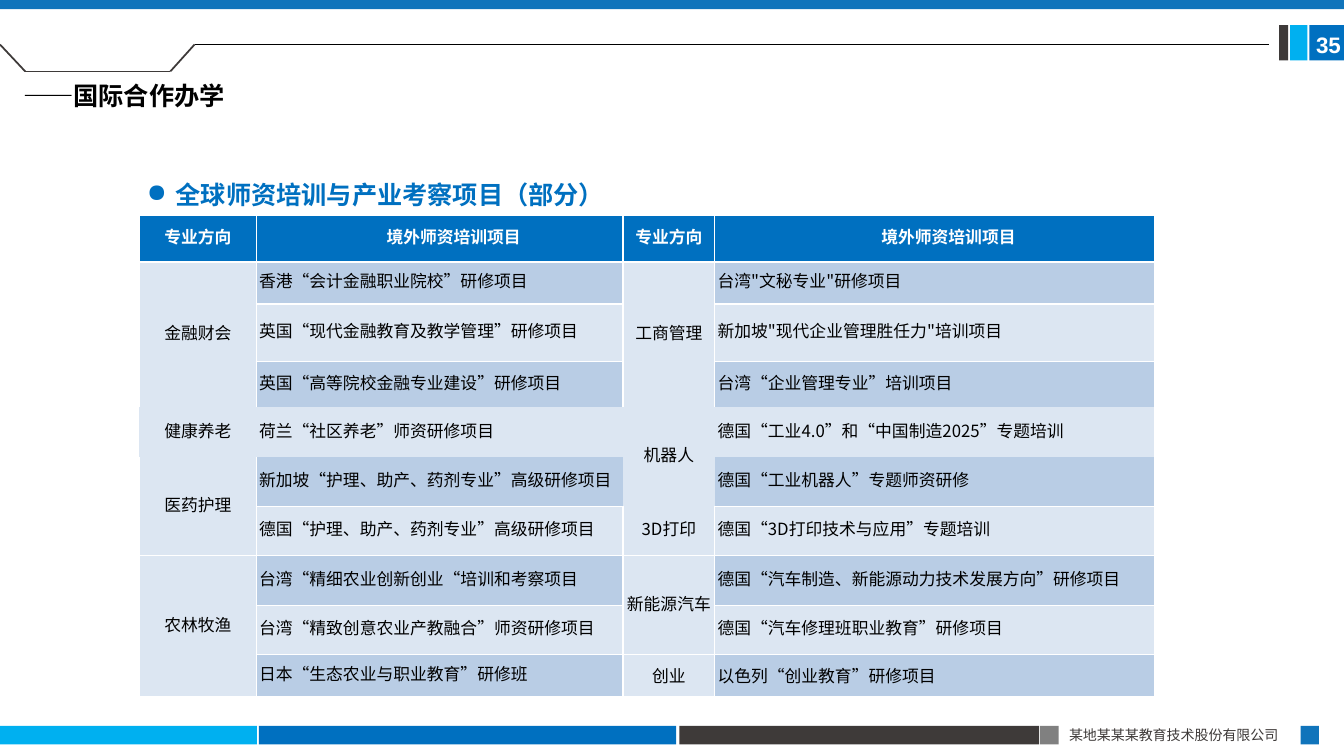
from lxml import etree
from pptx import Presentation
from pptx.dml.color import RGBColor
from pptx.enum import shapes, text
from pptx.oxml import ns
from pptx.util import Pt

COLORS = {
    "blue": "0070C0", "cyan": "00B0F0", "dark": "3E3A39", "gray": "808080",
    "accent": "1074BB", "white": "FFFFFF", "black": "000000",
    "pale": "DCE6F2", "band": "B9CDE5",
}
CJK = "Noto Sans CJK SC"
ALIGN = text.PP_ALIGN

BARS = [
    (0, 518.5, 183.6, 13.2, "cyan"),
    (185, 518.5, 298, 13.2, "blue"),
    (485.3, 518.5, 257, 13.2, "dark"),
    (743, 518.5, 13.2, 13.2, "gray"),
    (929, 518.5, 13.2, 13.2, "accent"),
    (935.2, 18, 24.8, 25.2, "blue"),
    (921.6, 18, 12.3, 25.2, "cyan"),
    (913.7, 18, 6.5, 25.2, "dark"),
    (0, 0, 960, 6.5, "accent"),
]
RULES = [
    (18, 51, 121.7, 51, "dark", 1.25),
    (121.7, 51, 139, 31.8, "dark", 1.25),
    (18, 51, 0, 31.8, "dark", 1.25),
    (139, 31.8, 906.5, 31.8, "black", 0.5),
]

COLUMN_WIDTHS = [83.5, 262, 65.5, 314]
ROW_HEIGHTS = [33, 30, 41.3, 32.6] + [35.3] * 5 + [30]
PROGRAMMES = [
    ["专业方向", "境外师资培训项目", "专业方向", "境外师资培训项目"],
    ["金融财会", "香港“会计金融职业院校”研修项目", "工商管理", "台湾\"文秘专业\"研修项目"],
    ["", "英国“现代金融教育及教学管理”研修项目", "", "新加坡\"现代企业管理胜任力\"培训项目"],
    ["", "英国“高等院校金融专业建设”研修项目", "", "台湾“企业管理专业”培训项目"],
    ["健康养老", "荷兰“社区养老”师资研修项目", "机器人", "德国“工业4.0”和“中国制造2025”专题培训"],
    ["医药护理", "新加坡“护理、助产、药剂专业”高级研修项目", "", "德国“工业机器人”专题师资研修"],
    ["", "德国“护理、助产、药剂专业”高级研修项目", "3D打印", "德国“3D打印技术与应用”专题培训"],
    ["农林牧渔", "台湾“精细农业创新创业“培训和考察项目", "新能源汽车", "德国“汽车制造、新能源动力技术发展方向”研修项目"],
    ["", "台湾“精致创意农业产教融合”师资研修项目", "", "德国“汽车修理班职业教育”研修项目"],
    ["", "日本“生态农业与职业教育”研修班", "创业", "以色列“创业教育”研修项目"],
]
MERGES = [(1, 0, 3), (1, 2, 3), (4, 2, 2), (5, 0, 2), (7, 0, 3), (7, 2, 2)]
BORDER_SIDES = {
    (1, 0): "LTR", (1, 2): "LTR", (3, 1): "LTR", (3, 3): "LTR",
    (4, 0): "", (4, 1): "", (4, 2): "", (4, 3): "",
    (5, 0): "LRB", (5, 1): "LB", (5, 3): "RB", (6, 2): "LRB",
}


def rgb(name):
    """Return the named colour."""
    return RGBColor.from_string(COLORS[name])


def style_para(para, size, color, bold=False, font=CJK):
    """Format every run of a paragraph."""
    for span in para.runs:
        span.font.size = Pt(size)
        span.font.bold = bold
        span.font.color.rgb = rgb(color)
        span.font.name = font
        etree.SubElement(span.font._element, ns.qn("a:ea"), typeface=font)


def add_bar(page, left, top, width, height, color):
    """Add a plain filled rectangle."""
    bar = page.shapes.add_shape(shapes.MSO_SHAPE.RECTANGLE, Pt(left), Pt(top), Pt(width), Pt(height))
    bar.shadow.inherit = False
    bar.fill.solid()
    bar.fill.fore_color.rgb = rgb(color)
    bar.line.fill.background()


def add_rule(page, x1, y1, x2, y2, color, weight):
    """Add a straight line without shadow."""
    rule = page.shapes.add_connector(shapes.MSO_CONNECTOR.STRAIGHT, Pt(x1), Pt(y1), Pt(x2), Pt(y2))
    rule.line.color.rgb = rgb(color)
    rule.line.width = Pt(weight)
    etree.SubElement(rule._element.spPr, ns.qn("a:effectLst"))


def add_label(page, left, top, width, height, words, size, color, bold=True, font=CJK, bullet=None):
    """Add a one-line text box, with a bullet if given."""
    box = page.shapes.add_textbox(Pt(left), Pt(top), Pt(width), Pt(height))
    frame = box.text_frame
    frame.word_wrap = False
    frame.text = words
    para = frame.paragraphs[0]
    if bullet:
        frame.margin_left = frame.margin_right = Pt(5.5)
        frame.margin_top = frame.margin_bottom = Pt(2.7)
        props = para._p.get_or_add_pPr()
        props.set("marL", str(Pt(20.6)))
        props.set("indent", str(-Pt(20.6)))
        etree.SubElement(props, ns.qn("a:buChar"), char=bullet)
    style_para(para, size, color, bold, font)


def set_borders(cell, sides):
    """Draw white borders on the listed sides and none on the others."""
    props = cell._tc.get_or_add_tcPr()
    for position, side in enumerate("LRTB"):
        line = etree.Element(ns.qn(f"a:ln{side}"), w=str(Pt(1)))
        if side in sides:
            fill = etree.SubElement(line, ns.qn("a:solidFill"))
            etree.SubElement(fill, ns.qn("a:srgbClr"), val=COLORS["white"])
        else:
            etree.SubElement(line, ns.qn("a:noFill"))
        props.insert(position, line)


def fill_cell(cell, words, row, column):
    """Write and format one table cell."""
    header = row == 0
    category = column % 2 == 0
    cell.margin_left = cell.margin_right = Pt(2)
    cell.margin_top = cell.margin_bottom = 0
    cell.vertical_anchor = text.MSO_ANCHOR.MIDDLE
    cell.fill.solid()
    cell.fill.fore_color.rgb = rgb("blue" if header else "pale" if category or row % 2 == 0 else "band")
    cell.text_frame.text = words
    para = cell.text_frame.paragraphs[0]
    para.alignment = ALIGN.CENTER if header or category else ALIGN.JUSTIFY
    if row < len(PROGRAMMES) - 1 or column < 2:
        para.line_spacing = Pt(14)
    if header and not category:
        para._p.get_or_add_pPr().set("indent", str(Pt(20)))
    style_para(para, 12, "white" if header else "black", header)


def add_programme_table(page):
    """Add the table of training programmes."""
    frame = page.shapes.add_table(len(PROGRAMMES), len(COLUMN_WIDTHS), Pt(99.6), Pt(154.2),
                                  Pt(sum(COLUMN_WIDTHS)), Pt(sum(ROW_HEIGHTS)))
    table = frame.table
    for column, width in zip(table.columns, COLUMN_WIDTHS):
        column.width = Pt(width)
    for row, height in zip(table.rows, ROW_HEIGHTS):
        row.height = Pt(height)
    anchors = {(first + step, column): (first, column)
               for first, column, count in MERGES for step in range(count)}
    for row, line in enumerate(PROGRAMMES):
        for column, words in enumerate(line):
            cell = table.cell(row, column)
            fill_cell(cell, words, row, column)
            place = anchors.get((row, column), (row, column))
            set_borders(cell, BORDER_SIDES.get(place, "LRTB"))
    for first, column, count in MERGES:
        table.cell(first, column).merge(table.cell(first + count - 1, column))


def main():
    """Build and save the slide."""
    deck = Presentation()
    deck.slide_width, deck.slide_height = Pt(960), Pt(540)
    page = deck.slides.add_slide(deck.slide_layouts[6])
    for bar in BARS:
        add_bar(page, *bar)
    for rule in RULES:
        add_rule(page, *rule)
    add_label(page, 756.5, 515.5, 173, 19.4, "某地某某某教育技术股份有限公司", 10, "dark", bold=False)
    add_label(page, 933, 18.7, 36, 26.6, "35", 16, "white", font="Arial")
    add_programme_table(page)
    add_label(page, 99.4, 125.3, 341, 27.4, "全球师资培训与产业考察项目（部分）", 18, "blue", bullet="●")
    add_label(page, 9.4, 54, 162.7, 28.8, "——国际合作办学", 18, "black")
    deck.save("out.pptx")


if __name__ == "__main__":
    main()
